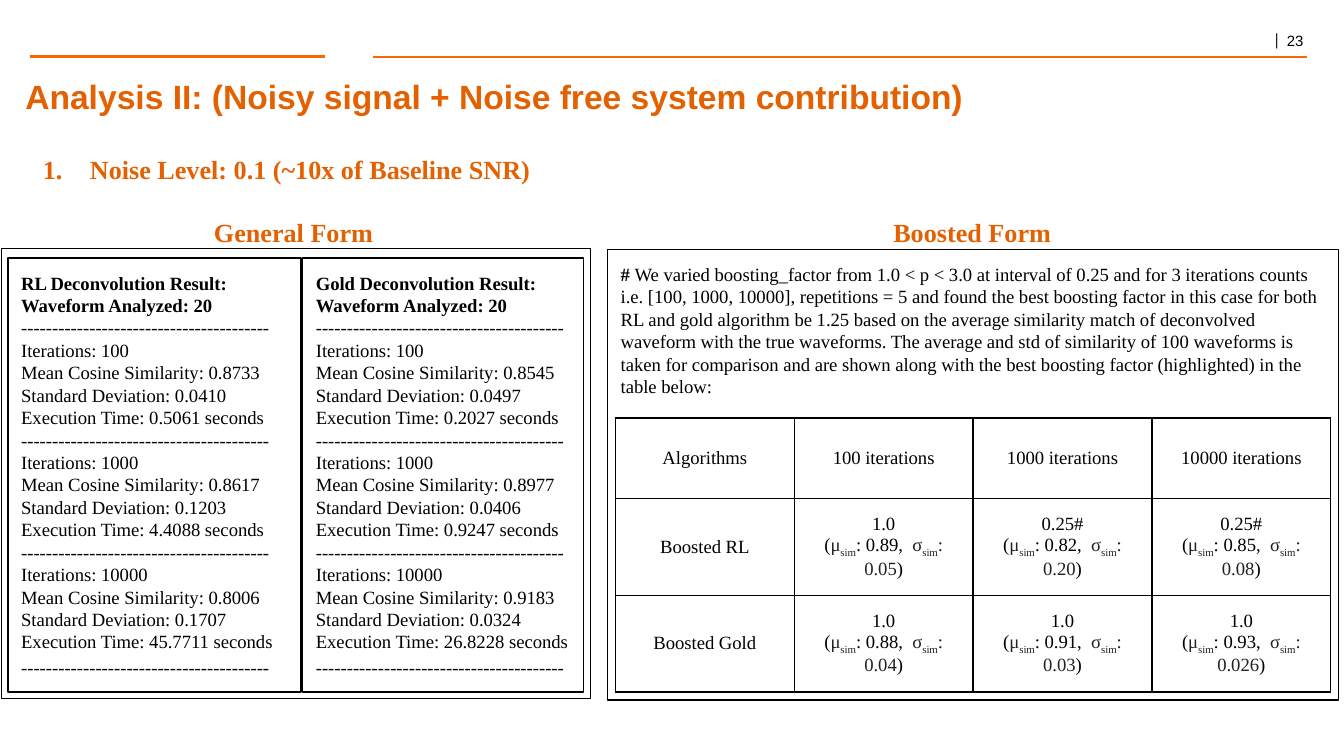
from dataclasses import dataclass

from lxml import etree
from pptx import Presentation
from pptx import util as u
from pptx.dml.color import RGBColor
from pptx.enum import shapes, text
from pptx.oxml import ns

ORANGE, RULE_ORANGE, BLACK, GREY = "E46102", "F66900", "000000", "222222"
SERIF, SANS = "Times New Roman", "Arial"
BODY = {"name": SERIF, "size": u.Pt(10), "bold": False}
STRONG = BODY | {"bold": True}
HEADING = {"name": SERIF, "size": u.Pt(14), "bold": True}
TITLE = {"name": SANS, "size": u.Pt(18), "bold": True}
DASHES = "-" * 40
LEFT, CENTER = text.PP_ALIGN.LEFT, text.PP_ALIGN.CENTER
TOP, MIDDLE = text.MSO_ANCHOR.TOP, text.MSO_ANCHOR.MIDDLE


@dataclass
class Area:
    left: float
    top: float
    width: float
    height: float

    def lengths(self) -> list:
        return [u.Cm(v) for v in (self.left, self.top, self.width, self.height)]


@dataclass
class Trial:
    iterations: int
    similarity: str
    deviation: str
    seconds: str

    def lines(self) -> list[str]:
        return [f"Iterations: {self.iterations}",
                f"Mean Cosine Similarity: {self.similarity}",
                f"Standard Deviation: {self.deviation}",
                f"Execution Time: {self.seconds} seconds",
                DASHES]


@dataclass
class Report:
    method: str
    area: Area
    trials: list[Trial]


@dataclass
class Score:
    factor: str
    mean: str
    deviation: str


REPORTS = [
    Report("RL", Area(0.15, 4.88, 5.54, 8.2), [
        Trial(100, "0.8733", "0.0410", "0.5061"),
        Trial(1000, "0.8617", "0.1203", "4.4088"),
        Trial(10000, "0.8006", "0.1707", "45.7711")]),
    Report("Gold", Area(5.72, 4.88, 5.31, 8.2), [
        Trial(100, "0.8545", "0.0497", "0.2027"),
        Trial(1000, "0.8977", "0.0406", "0.9247"),
        Trial(10000, "0.9183", "0.0324", "26.8228")]),
]
COLUMN_TITLES = ["Algorithms", "100 iterations", "1000 iterations", "10000 iterations"]
SCORES = {
    "Boosted RL": [Score("1.0", "0.89", "0.05"), Score("0.25#", "0.82", "0.20"),
                   Score("0.25#", "0.85", "0.08")],
    "Boosted Gold": [Score("1.0", "0.88", "0.04"), Score("1.0", "0.91", "0.03"),
                     Score("1.0", "0.93", "0.026")],
}
BOOSTING_NOTE = (
    "We varied boosting_factor from 1.0 < p < 3.0 at interval of 0.25 and for 3 iterations "
    "counts i.e. [100, 1000, 10000], repetitions = 5 and found the best boosting factor in "
    "this case for both RL and gold algorithm be 1.25 based on the average similarity match "
    "of deconvolved waveform with the true waveforms. The average and std of similarity of "
    "100 waveforms is taken for comparison and are shown along with the best boosting factor "
    "(highlighted) in the table below:")


def color(value: str) -> RGBColor:
    return RGBColor.from_string(value)


def add_span(para, words: str, style: dict, shade: str = BLACK, subscript: bool = False) -> None:
    span = para.add_run()
    span.text = words
    for key, value in style.items():
        setattr(span.font, key, value)
    span.font.color.rgb = color(shade)
    if subscript:
        span.font._element.set("baseline", "-25000")


def set_frame(frame, anchor=TOP, side: float = 0.25, end: float = 0.25) -> None:
    values = {"word_wrap": True, "vertical_anchor": anchor,
              "margin_left": u.Cm(side), "margin_right": u.Cm(side),
              "margin_top": u.Cm(end), "margin_bottom": u.Cm(end)}
    for key, value in values.items():
        setattr(frame, key, value)


def add_label(page, area: Area, words: str, style: dict, align=LEFT, anchor=TOP):
    box = page.shapes.add_textbox(*area.lengths())
    set_frame(box.text_frame, anchor)
    para = box.text_frame.paragraphs[0]
    para.alignment = align
    add_span(para, words, style, ORANGE)
    return para


def add_panel(page, area: Area):
    box = page.shapes.add_shape(shapes.MSO_SHAPE.RECTANGLE, *area.lengths())
    box.shadow.inherit = False
    box.fill.background()
    box.line.color.rgb = color(BLACK)
    box.line.width = u.Pt(0.75)
    set_frame(box.text_frame)
    box.text_frame.paragraphs[0].alignment = LEFT
    return box.text_frame


def add_rule(page, start: float, end: float, width: float) -> None:
    rule = page.shapes.add_connector(shapes.MSO_CONNECTOR.STRAIGHT,
                                     u.Cm(start), u.Cm(1.07), u.Cm(end), u.Cm(1.07))
    rule.line.color.rgb = color(RULE_ORANGE)
    rule.line.width = u.Pt(width)
    etree.SubElement(rule._element.spPr, ns.qn("a:effectLst"))


def add_report(page, report: Report) -> None:
    frame = add_panel(page, report.area)
    heads = [f"{report.method} Deconvolution Result:", "Waveform Analyzed: 20"]
    lines = heads + [DASHES] + [line for trial in report.trials for line in trial.lines()]
    for index, line in enumerate(lines):
        para = frame.add_paragraph() if index else frame.paragraphs[0]
        para.alignment = LEFT
        add_span(para, line, STRONG if line in heads else BODY)
    para.line_spacing = 1.15


def add_borders(cell) -> None:
    properties = cell._tc.get_or_add_tcPr()
    for index, side in enumerate(("lnL", "lnR", "lnT", "lnB")):
        border = etree.Element(ns.qn(f"a:{side}"), w=str(u.Pt(0.75)))
        fill = etree.SubElement(border, ns.qn("a:solidFill"))
        etree.SubElement(fill, ns.qn("a:srgbClr"), val=BLACK)
        properties.insert(index, border)


def fill_cell(cell, content: str | Score) -> None:
    cell.fill.background()
    add_borders(cell)
    set_frame(cell.text_frame)
    cell.vertical_anchor = MIDDLE
    para = cell.text_frame.paragraphs[0]
    para.alignment = CENTER
    if isinstance(content, str):
        add_span(para, content, BODY)
        return
    add_span(para, content.factor, BODY)
    para = cell.text_frame.add_paragraph()
    para.alignment = CENTER
    for words, shade in (("(", BLACK), ("μ", GREY), ("sim", GREY),
                         (f": {content.mean},  ", BLACK), ("σ", GREY), ("sim", GREY),
                         (f": {content.deviation}", GREY), (")", BLACK)):
        add_span(para, words, BODY, shade, subscript=words == "sim")


def add_scores(page) -> None:
    rows = [COLUMN_TITLES] + [[name, *scores] for name, scores in SCORES.items()]
    area = Area(11.63, 7.9, 13.52, 5.18)
    table = page.shapes.add_table(len(rows), len(COLUMN_TITLES), *area.lengths()).table
    table.first_row = table.horz_banding = False
    for row, height, contents in zip(table.rows, (1.52, 1.83, 1.83), rows):
        row.height = u.Cm(height)
        for cell, content in zip(row.cells, contents):
            fill_cell(cell, content)


def main() -> None:
    deck = Presentation()
    deck.slide_width, deck.slide_height = u.Cm(25.4), u.Cm(14.29)
    page = deck.slides.add_slide(deck.slide_layouts[6])

    # Page number and header rules
    box = page.shapes.add_textbox(*Area(23.9, 0.53, 1.47, 0.51).lengths())
    set_frame(box.text_frame, side=0.18, end=0.1)
    para = box.text_frame.paragraphs[0]
    para.line_spacing = 0.8
    add_span(para, "|  ", {"name": "Cambria", "size": u.Pt(9)})
    add_span(para, "23", {"name": SANS, "size": u.Pt(8)})
    add_rule(page, 0.56, 6.15, 2)
    add_rule(page, 7.04, 24.71, 1)

    # Title
    add_label(page, Area(0.23, 1.19, 18.34, 1.27),
              "Analysis II: (Noisy signal + Noise free system contribution)", TITLE)

    # General form: two reports in a frame
    add_panel(page, Area(0.03, 4.7, 11.13, 8.51))
    for report in REPORTS:
        add_report(page, report)
    add_label(page, Area(0.18, 4.06, 10.74, 0.66), "General Form", HEADING, CENTER, MIDDLE)

    # Boosted form: note and score table
    add_label(page, Area(13.69, 3.84, 9.37, 1.12), "Boosted Form", HEADING, CENTER)
    note = add_panel(page, Area(11.48, 4.72, 13.82, 8.51)).paragraphs[0]
    note._p.getparent().find(ns.qn("a:bodyPr")).set("anchor", "t")
    add_span(note, "# ", STRONG)
    add_span(note, BOOSTING_NOTE, BODY)
    add_scores(page)

    # Numbered noise level
    para = add_label(page, Area(0.18, 2.87, 10.74, 0.66),
                     "Noise Level: 0.1 (~10x of Baseline SNR)", HEADING, anchor=MIDDLE)
    properties = para._p.get_or_add_pPr()
    properties.set("marL", str(u.Cm(1.27)))
    properties.set("indent", str(u.Cm(-0.89)))
    bullet_color = etree.SubElement(properties, ns.qn("a:buClr"))
    etree.SubElement(bullet_color, ns.qn("a:srgbClr"), val=ORANGE)
    etree.SubElement(properties, ns.qn("a:buAutoNum"), type="arabicPeriod")

    deck.save("out.pptx")


if __name__ == "__main__":
    main()
